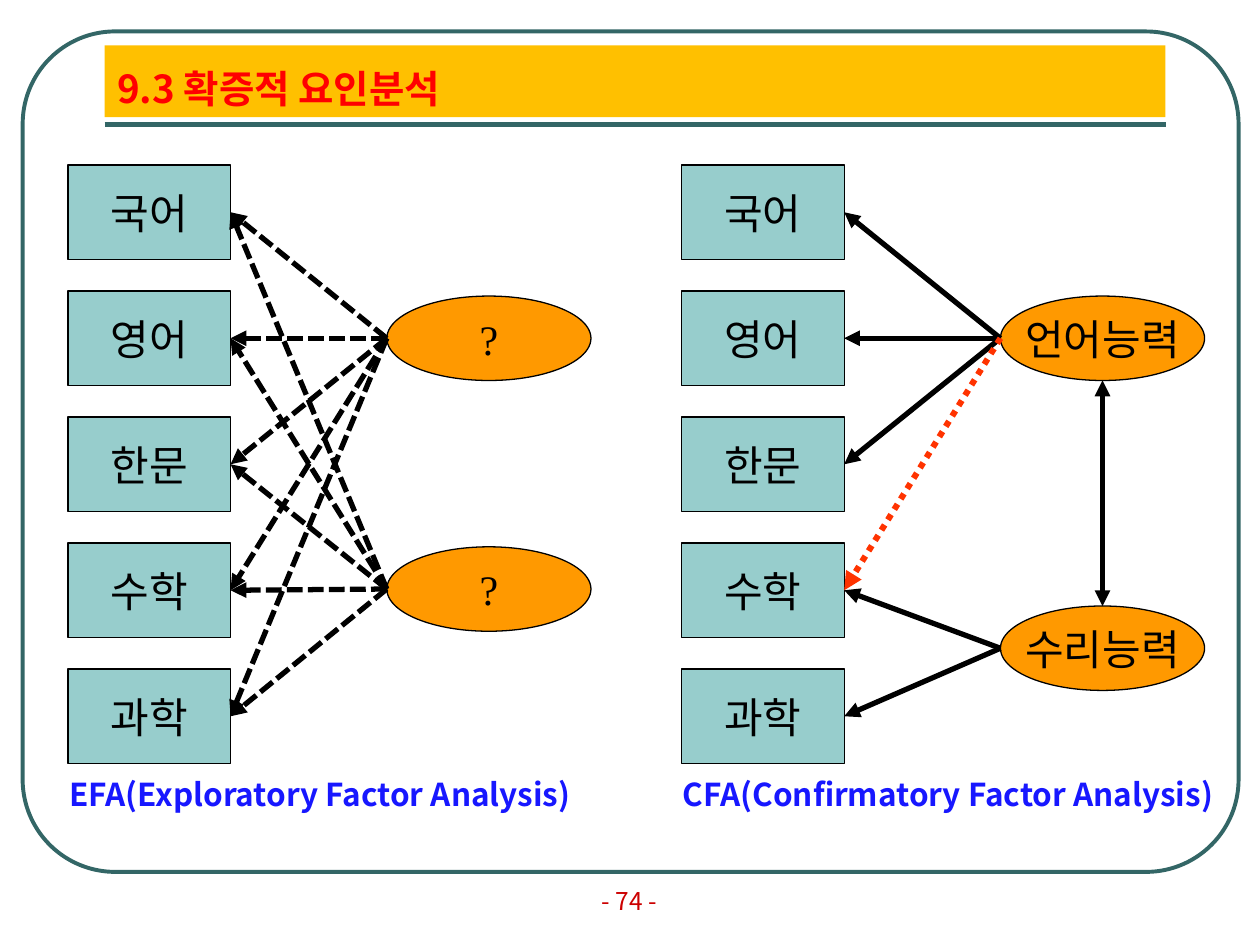
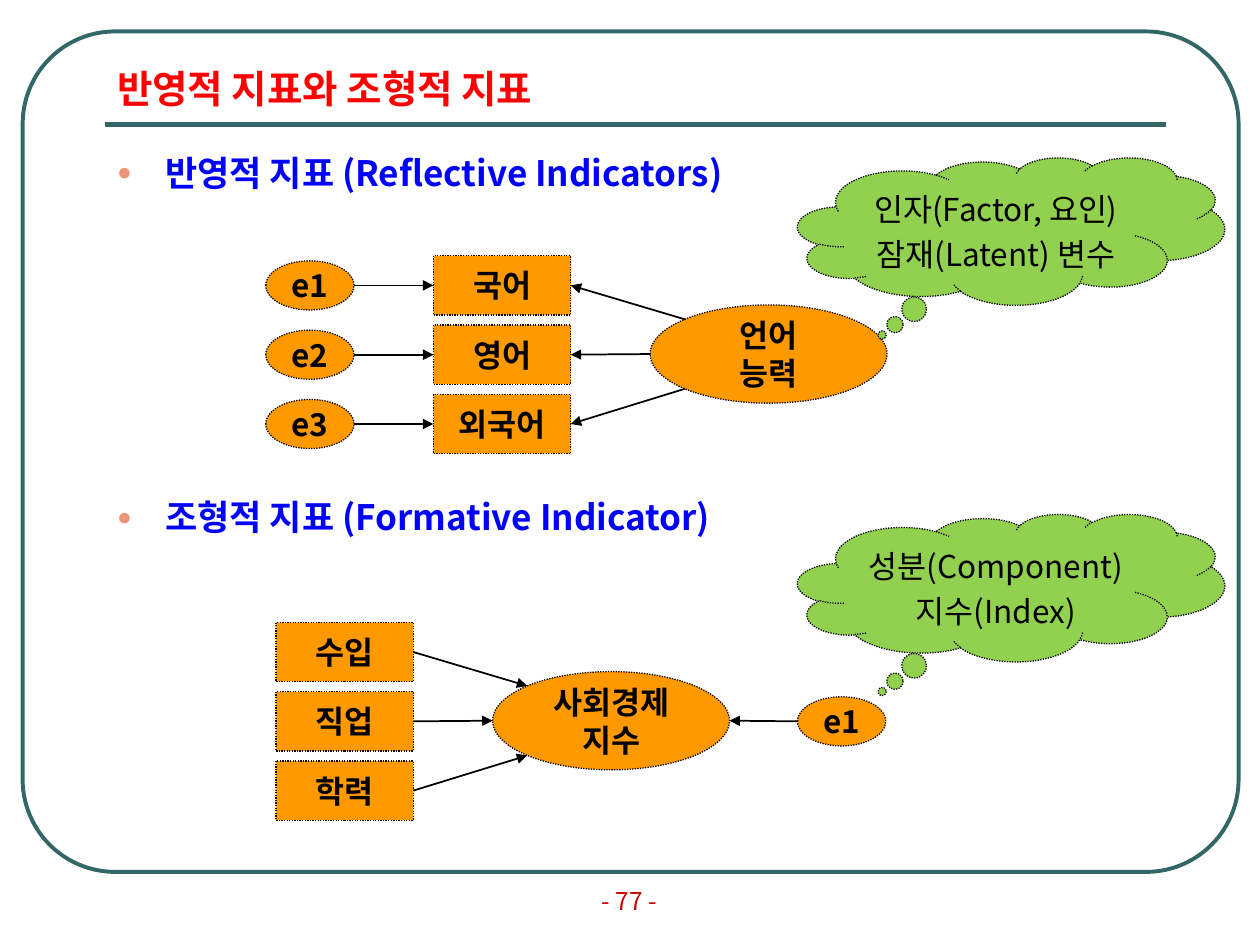
from lxml import etree
from pptx import Presentation
from pptx.dml.color import RGBColor
from pptx.enum.dml import MSO_LINE
from pptx.enum.shapes import MSO_CONNECTOR, MSO_SHAPE
from pptx.enum.text import MSO_ANCHOR, MSO_AUTO_SIZE, PP_ALIGN
from pptx.oxml.ns import qn
from pptx.util import Inches, Pt

RECT, OVAL = MSO_SHAPE.RECTANGLE, MSO_SHAPE.OVAL
ROUND, CLOUD = MSO_SHAPE.ROUNDED_RECTANGLE, MSO_SHAPE.CLOUD_CALLOUT
STRAIGHT = MSO_CONNECTOR.STRAIGHT
DOT, DASH = MSO_LINE.ROUND_DOT, MSO_LINE.SQUARE_DOT
LEFT, CENTER, JUSTIFY = PP_ALIGN.LEFT, PP_ALIGN.CENTER, PP_ALIGN.JUSTIFY
TOP, MIDDLE, BOTTOM = MSO_ANCHOR.TOP, MSO_ANCHOR.MIDDLE, MSO_ANCHOR.BOTTOM

SANS, SERIF = "Noto Sans CJK KR", "Times New Roman"
BLACK, TEAL, ORANGE = "000000", "336666", "FF9900"
AQUA, GREEN, GOLD = "97CDCC", "92D050", "FFC000"
RED, BLUE = "FF0000", "0000FF"

# Points on a shape, as shares of its width and height
W, E, N, S = (0, 0.5), (1, 0.5), (0.5, 0), (0.5, 1)
NW, SW = (0.146, 0.146), (0.146, 0.854)


def color(code):
    return RGBColor.from_string(code)


def place(shape, box):
    shape.left, shape.top, shape.width, shape.height = map(Inches, box)


def write(shape, text, size, ink, bold=False, font=SANS, align=CENTER,
          anchor=MIDDLE, wrap=True):
    frame = shape.text_frame
    frame.text = text
    frame.word_wrap = wrap
    frame.auto_size = MSO_AUTO_SIZE.NONE
    frame.vertical_anchor = anchor
    for para in frame.paragraphs:
        para.alignment = align
        for run in para.runs:
            run.font.name, run.font.size = font, Pt(size)
            run.font.bold, run.font.color.rgb = bold, color(ink)
            # Korean letters take the East Asian font
            east = etree.SubElement(run.font._element, qn("a:ea"))
            east.set("typeface", SANS)
    return frame


def draw(slide, kind, box, fill=None, line=BLACK, width=0.75, dash=None):
    shape = slide.shapes.add_shape(kind, *map(Inches, box))
    shape.shadow.inherit = False
    if fill:
        shape.fill.solid()
        shape.fill.fore_color.rgb = color(fill)
    else:
        shape.fill.background()
    style(shape.line, line, width, dash)
    return shape


def style(line, ink, width, dash=None):
    line.color.rgb = color(ink)
    line.width = Pt(width)
    if dash:
        line.dash_style = dash


def label(slide, box, text, size, ink, **look):
    write(slide.shapes.add_textbox(*map(Inches, box)), text, size, ink, **look)


def rule(slide, start, end, ink, width, dash=None, ends=()):
    line = slide.shapes.add_connector(STRAIGHT, *start, *end)
    style(line.line, ink, width, dash)
    props = line._element.spPr
    for tip in ends:
        etree.SubElement(props.find(qn("a:ln")), qn(tip)).set("type", "triangle")
    etree.SubElement(props, qn("a:effectLst"))


def spot(shape, share):
    return (int(shape.left + shape.width * share[0]),
            int(shape.top + shape.height * share[1]))


def arrow(slide, src, side, dst, goal, ink=BLACK, width=1, dash=None, both=False):
    ends = ("a:headEnd", "a:tailEnd") if both else ("a:tailEnd",)
    rule(slide, spot(src, side), spot(dst, goal), ink, width, dash, ends)


# Shared page: frame, title, rule and page number
def page(deck, layout, title, number, band=None):
    slide = deck.slides.add_slide(deck.slide_layouts[layout])
    head = slide.shapes.title
    place(head, (0.83, 0.36, 8.42, 0.57))
    if band:
        head.fill.solid()
        head.fill.fore_color.rgb = color(band)
    write(head, title, 22, RED, bold=True, align=LEFT, anchor=BOTTOM)
    frame = draw(slide, ROUND, (0.18, 0.25, 9.65, 6.67), line=TEAL, width=2.25)
    frame.adjustments[0] = 0.11
    y = Inches(0.99)
    rule(slide, (Inches(0.83), y), (Inches(9.25), y), TEAL, 3)
    label(slide, (4.12, 6.9, 1.75, 0.5), f"- {number} -", 14, "CC0000")
    return slide


# Subjects on the left, factors on the right, arrows between them
def model(slide, x, y, factors, links, caption, dash=None):
    def node(kind, box, fill, text):
        shape = draw(slide, kind, box, fill)
        write(shape, text, 24, BLACK, font=SERIF, wrap=False)
        return shape

    names = ["국어", "영어", "한문", "수학", "과학"]
    tests = [node(RECT, (x, y + row, 1.29, 0.75), AQUA, name)
             for row, name in enumerate(names)]
    ovals = [node(OVAL, (x + 2.53, y + drop, 1.62, 0.67), ORANGE, name)
             for name, drop in factors]
    for oval, rows in zip(ovals, links):
        for row in rows:
            arrow(slide, oval, W, tests[row], E, width=3, dash=dash)
    label(slide, (x - 0.09, y + 4.79, 4.47, 0.4), caption, 18, "1717FF",
          bold=True, align=LEFT, anchor=TOP)
    return tests, ovals


def factor_page(deck):
    slide = page(deck, 5, "9.3 확증적 요인분석", 74, GOLD)
    model(slide, 0.54, 1.31, [("?", 1.04), ("?", 3.03)], [range(5)] * 2,
          "EFA(Exploratory Factor Analysis)", DASH)
    tests, (verbal, maths) = model(
        slide, 5.41, 1.31, [("언어능력", 1.04), ("수리능력", 3.5)],
        [(0, 1, 2), (3, 4)], "CFA(Confirmatory Factor Analysis)")
    arrow(slide, verbal, S, maths, N, width=3, both=True)
    arrow(slide, verbal, W, tests[3], E, "FF3300", 3.5, DOT)


def node(slide, kind, box, text):
    shape = draw(slide, kind, box, ORANGE, dash=DOT)
    write(shape, text, 18, BLACK, bold=True, wrap=False)
    return shape


def error(slide, x, y, text):
    return node(slide, OVAL, (x, y, 0.7, 0.39), text)


# Three indicators beside one construct
def group(slide, x, y, names, whole, inward):
    items = [node(slide, RECT, (x, y + 0.55 * row, 1.09, 0.47), name)
             for row, name in enumerate(names)]
    core = node(slide, OVAL, (x + 1.72, y + 0.39, 1.88, 0.78), whole)
    for item, side in zip(items, (NW, W, SW)):
        if inward:
            arrow(slide, item, E, core, side)
        else:
            arrow(slide, core, side, item, E)
    return items, core


def cloud(slide, x, y, text):
    shape = draw(slide, CLOUD, (x, y, 3.39, 1.17), GREEN, dash=DOT)
    shape.adjustments[0], shape.adjustments[1] = -0.302, 0.704
    for para in write(shape, text, 18, BLACK).paragraphs:
        para.line_spacing = 1.2


def bullets(body, lines, gap):
    place(body, (0.83, 1.15, 8.42, 5.67))
    frame = write(body, "\n".join(lines), 20, BLUE, bold=True,
                  align=JUSTIFY, anchor=TOP)
    for row, para in enumerate(frame.paragraphs):
        props = para._p.get_or_add_pPr()
        props.set("marL", str(Inches(0.38)))
        props.set("indent", str(-Inches(0.38)))
        tint = etree.SubElement(props, qn("a:buClr"))
        etree.SubElement(tint, qn("a:srgbClr")).set("val", "EC957A")
        etree.SubElement(props, qn("a:buSzPct")).set("val", "70000")
        etree.SubElement(props, qn("a:buChar")).set("char", "●")
        para.space_before = Pt(gap if row else 0)


def sign_page(deck):
    slide = page(deck, 1, "반영적 지표와 조형적 지표", 77)
    bullets(slide.placeholders[1], ["반영적 지표 (Reflective Indicators)",
                                    "조형적 지표 (Formative Indicator)"], 173)
    # Reflective: errors and the factor point at the indicators
    items, _ = group(slide, 3.44, 2.03, ["국어", "영어", "외국어"],
                     "언어\n능력", False)
    for row, item in enumerate(items):
        noise = error(slide, 2.11, 2.07 + 0.55 * row, f"e{row + 1}")
        arrow(slide, noise, E, item, W)
    # Formative: indicators and one error point at the index
    _, core = group(slide, 2.19, 4.94, ["수입", "직업", "학력"],
                    "사회경제\n지수", True)
    arrow(slide, error(slide, 6.33, 5.53, "e1"), W, core, E)
    cloud(slide, 6.33, 4.08, "성분(Component)\n지수(Index)")
    cloud(slide, 6.33, 1.25, "인자(Factor, 요인)\n잠재(Latent) 변수")


def main():
    deck = Presentation()
    deck.slide_width, deck.slide_height = Inches(10), Inches(7.5)
    factor_page(deck)
    sign_page(deck)
    deck.save("out.pptx")


if __name__ == "__main__":
    main()
